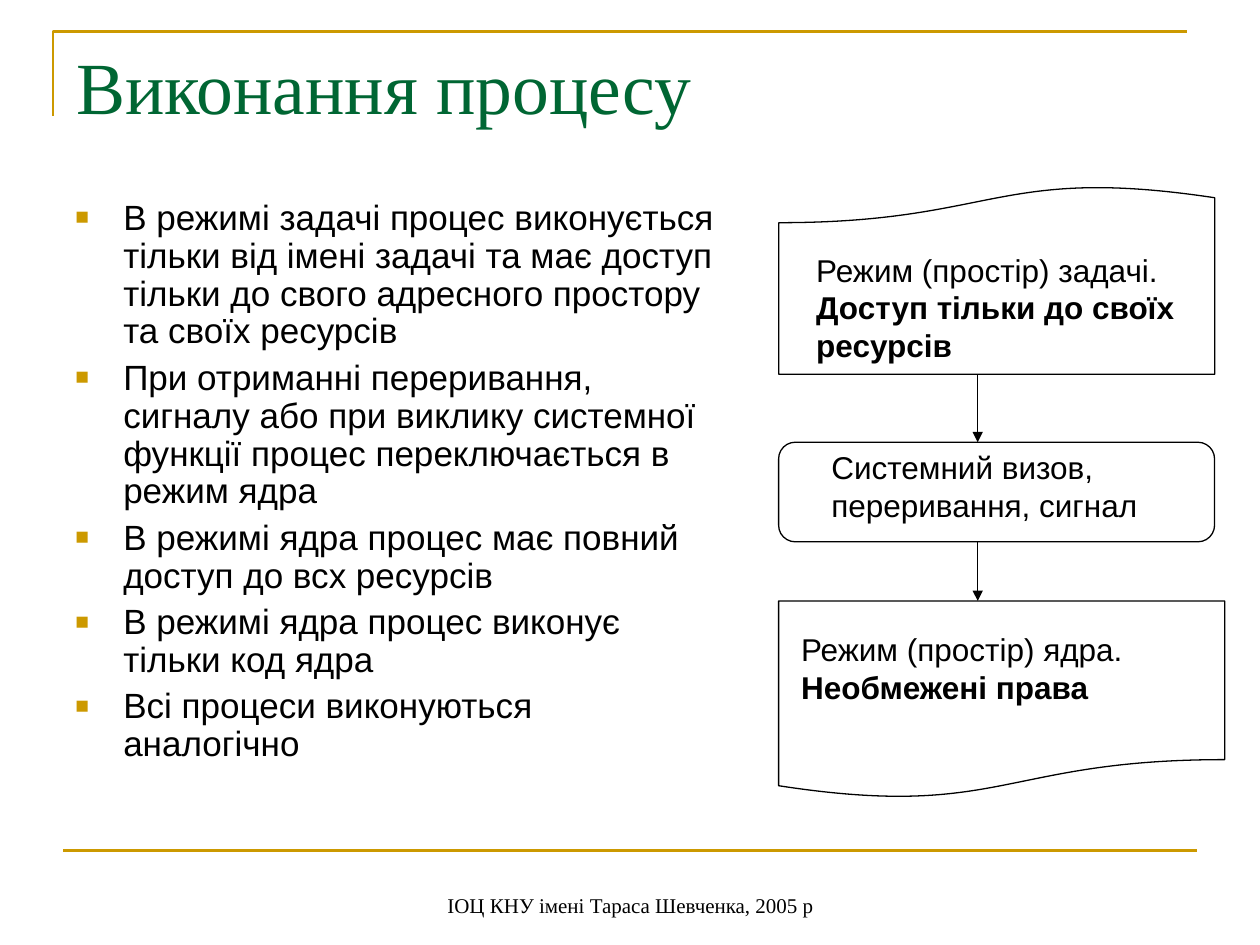
"""Build the slide on process execution in task mode and kernel mode."""
from lxml.etree import SubElement
from pptx import Presentation
from pptx.dml.color import RGBColor
from pptx.enum.shapes import MSO_CONNECTOR as Link, MSO_SHAPE as Shape
from pptx.enum.text import MSO_ANCHOR as Anchor, PP_ALIGN as Align
from pptx.oxml.ns import qn
from pptx.util import Inches, Pt

GOLD, GREEN, BLACK = "CC9900", "006633", "000000"
SERIF, SANS = "Times New Roman", "Arial"

TITLE = [[("Виконання процесу", False)]]
FOOTER = [[("ІОЦ КНУ імені Тараса Шевченка, 2005 р", False)]]
POINTS = [
    "В режимі задачі процес виконується тільки від імені задачі та має доступ "
    "тільки до свого адресного простору та своїх ресурсів",
    "При отриманні переривання, сигналу або при виклику системної функції "
    "процес переключається в режим ядра",
    "В режимі ядра процес має повний доступ до всх ресурсів",
    "В режимі ядра процес виконує тільки код ядра",
    "Всі процеси виконуються аналогічно",
]
STAGES = [
    (Shape.FLOWCHART_DOCUMENT, (6.18, 1.47, 3.46, 1.5), 180),
    (Shape.FLOWCHART_ALTERNATE_PROCESS, (6.18, 3.51, 3.46, 0.79), 0),
    (Shape.FLOWCHART_DOCUMENT, (6.18, 4.77, 3.54, 1.57), 0),
]
LABELS = [
    ((6.38, 1.94, 3.27, 1), True,
     [[("Режим (простір) задачі. ", False), ("Доступ тільки до своїх ресурсів", True)]]),
    ((6.5, 3.51, 2.63, 0.7), False,
     [[("Системний визов,", False)], [("переривання, сигнал", False)]]),
    ((6.26, 4.95, 3.54, 0.7), True,
     [[("Режим (простір) ядра.", False)], [("Необмежені права", True)]]),
]
ARROW_X = 7.76
FRAME = [(0.42, 0.92), (0.42, 0.25), (9.42, 0.25)]
BULLET_FORMAT = {"line_spacing": 0.9, "space_before": Pt(5)}


def color(value):
    return RGBColor.from_string(value)


def set_all(target, values):
    for name, value in values.items():
        setattr(target, name, value)


def add_text(slide, box, paragraphs, size, font=SANS, ink=BLACK, layout=None, style=None):
    frame = slide.shapes.add_textbox(*map(Inches, box)).text_frame
    set_all(frame, {"word_wrap": True, **(layout or {})})
    for index, pieces in enumerate(paragraphs):
        paragraph = frame.add_paragraph() if index else frame.paragraphs[0]
        set_all(paragraph, style or {})
        for text, bold in pieces:
            run = paragraph.add_run()
            run.text = text
            set_all(run.font, {"size": Pt(size), "name": font, "bold": bold})
            run.font.color.rgb = color(ink)
    return frame


def add_bullet(paragraph):
    props = paragraph._p.get_or_add_pPr()
    set_indent = Inches(0.38)
    props.set("marL", str(set_indent))
    props.set("indent", str(-set_indent))
    tint = SubElement(props, qn("a:buClr"))
    SubElement(tint, qn("a:srgbClr"), val=GOLD)
    SubElement(props, qn("a:buSzPct"), val="65000")
    SubElement(props, qn("a:buFont"), typeface=SANS)
    SubElement(props, qn("a:buChar"), char="■")


def outline(shape, ink, width):
    shape.line.color.rgb = color(ink)
    shape.line.width = Pt(width)


def add_line(slide, start, end, ink, width, arrow=False):
    line = slide.shapes.add_connector(Link.STRAIGHT, *map(Inches, start + end))
    outline(line, ink, width)
    if arrow:
        SubElement(line.line._get_or_add_ln(), qn("a:tailEnd"), type="triangle")
    SubElement(line._element.spPr, qn("a:effectLst"))


def add_frame(slide):
    start, *corners = [(Inches(x), Inches(y)) for x, y in FRAME]
    builder = slide.shapes.build_freeform(*start)
    builder.add_line_segments(corners, close=False)
    frame = builder.convert_to_shape()
    frame.shadow.inherit = False
    frame.fill.background()
    outline(frame, GOLD, 1.5)


def add_flow(slide):
    for kind, box, turn in STAGES:
        stage = slide.shapes.add_shape(kind, *map(Inches, box))
        stage.rotation = turn
        stage.shadow.inherit = False
        stage.fill.background()
        outline(stage, BLACK, 0.75)
    for box, wrap, paragraphs in LABELS:
        add_text(slide, box, paragraphs, 18, layout={"word_wrap": wrap})
    for (_, above, _), (_, below, _) in zip(STAGES, STAGES[1:]):
        add_line(slide, (ARROW_X, above[1] + above[3]), (ARROW_X, below[1]), BLACK, 0.75, True)


def main():
    deck = Presentation()
    set_all(deck, {"slide_width": Inches(10), "slide_height": Inches(7.5)})
    slide = deck.slides.add_slide(deck.slide_layouts[6])
    add_frame(slide)
    add_line(slide, (0.5, 6.75), (9.5, 6.75), GOLD, 1.5)
    add_text(slide, (0.51, 0.28, 9, 1.25), TITLE, 42, SERIF, GREEN)
    points = [[(point, False)] for point in POINTS]
    body = add_text(slide, (0.5, 1.54, 5.29, 5.16), points, 20, style=BULLET_FORMAT)
    for paragraph in body.paragraphs:
        add_bullet(paragraph)
    add_flow(slide)
    add_text(slide, (3.42, 6.83, 3.17, 0.5), FOOTER, 12, SERIF,
             layout={"vertical_anchor": Anchor.BOTTOM}, style={"alignment": Align.CENTER})
    deck.save("out.pptx")


if __name__ == "__main__":
    main()
